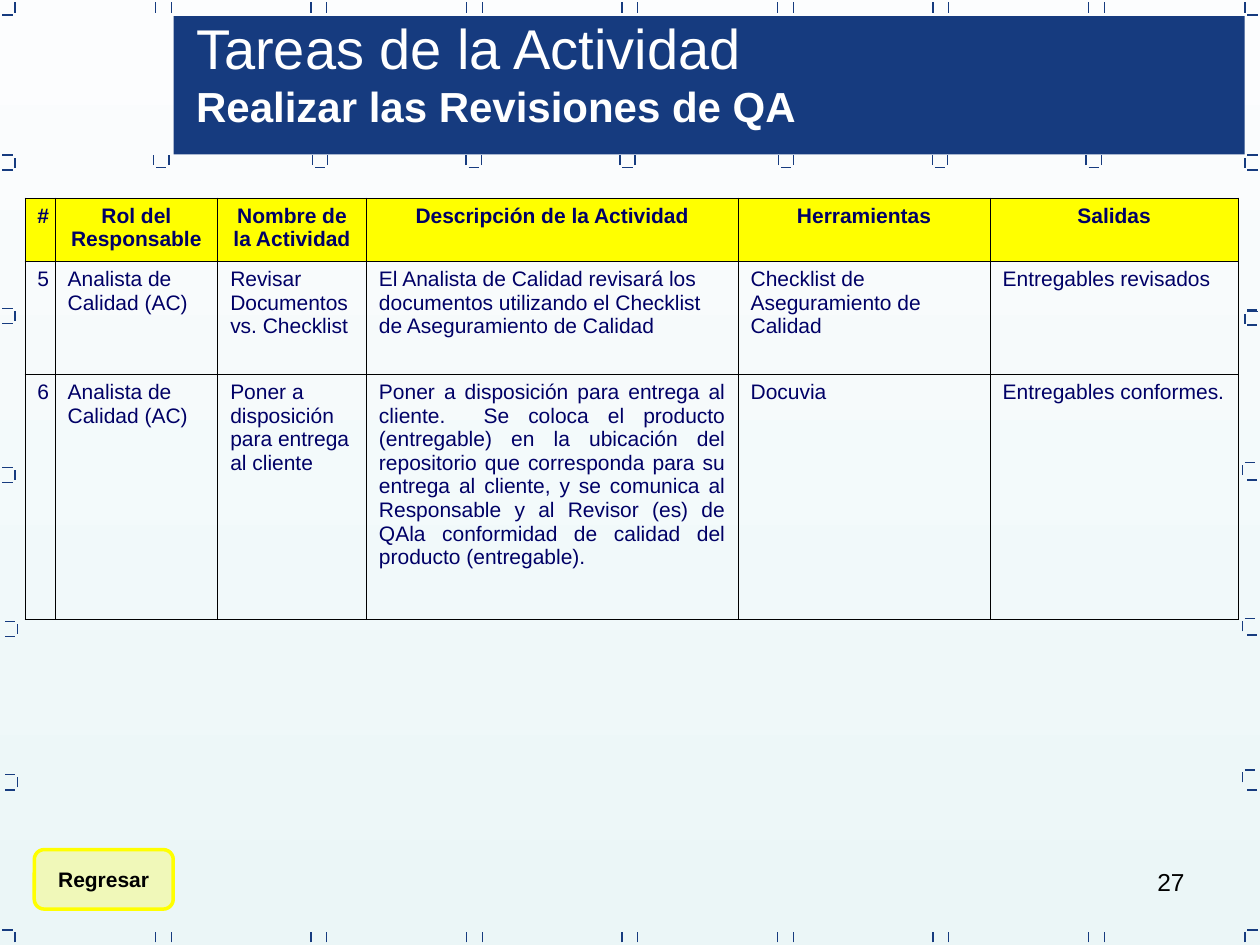
from lxml.etree import SubElement
from pptx import Presentation
from pptx.dml.color import RGBColor
from pptx.enum.shapes import MSO_CONNECTOR as Connector, MSO_SHAPE as Shape
from pptx.enum.text import MSO_ANCHOR as Anchor, PP_ALIGN as Align
from pptx.oxml import parse_xml
from pptx.oxml.ns import nsdecls, qn
from pptx.util import Pt

NAVY = RGBColor(0x16, 0x3B, 0x7F)
INK = RGBColor(0x00, 0x00, 0x66)
YELLOW = RGBColor(0xFF, 0xFF, 0x00)
BLACK = RGBColor(0x00, 0x00, 0x00)
WHITE = RGBColor(0xFF, 0xFF, 0xFF)
SKY_TOP = RGBColor(0xFC, 0xFD, 0xFE)
SKY_BOTTOM = RGBColor(0xEB, 0xF6, 0xF7)
FONT = "Arial"

TITLE = [("Tareas de la Actividad", 32, False),
         ("Realizar las Revisiones de QA", 24, True)]
TASKS = [
    ["#", "Rol del Responsable", "Nombre de la Actividad",
     "Descripción de la Actividad", "Herramientas", "Salidas"],
    ["5", "Analista de Calidad (AC)", "Revisar Documentos vs. Checklist",
     "El Analista de Calidad revisará los documentos utilizando el Checklist "
     "de Aseguramiento de Calidad",
     "Checklist de Aseguramiento de Calidad", "Entregables revisados"],
    ["6", "Analista de Calidad (AC)", "Poner a disposición para entrega al cliente",
     "Poner a disposición para entrega al cliente.  Se coloca el producto "
     "(entregable) en la ubicación del repositorio que corresponda para su "
     "entrega al cliente, y se comunica al Responsable y al Revisor (es) de "
     "QAla conformidad de calidad del producto (entregable).",
     "Docuvia", "Entregables conformes."],
]
COLUMN_WIDTHS = [17.3, 92.9, 85, 212.4, 144, 141.8]
ROW_HEIGHTS = [36, 64.8, 139.7]
JUSTIFIED = (2, 3)

# Border marks: a tick of fixed length with a dash set off from its ends.
TICK, GAP = 5.76, 1.44
EDGE_TOP, EDGE_BOTTOM = 1.44, 532.8
PAIR_START, PAIR_STEP, PAIR_WIDTH, PAIR_COUNT = 97.9, 88.85, 9, 7
BRACKET_TOP, BRACKET_WIDTH = 88.6, 8.64
BRACKET_RIGHTS = [96.5, 187.2, 275, 362.9, 453.6, 541.4, 629.3]
# x, top, direction of the dashes, dash above, dash below
SIDE_MARKS = [
    (8.64, EDGE_TOP, -1, False, True), (8.64, 90, -1, True, True),
    (8.64, 177.8, -1, True, True), (8.64, 268.6, -1, True, True),
    (10.1, 356.4, -1, True, True), (10.1, 444.2, -1, True, True),
    (8.64, EDGE_BOTTOM, -1, True, False),
    (711.4, EDGE_TOP, 1, False, True), (711.4, 90, 1, True, True),
    (711.4, 179.3, 1, True, False), (709.9, 265.7, 1, True, False),
    (709.9, 355, 1, True, False), (709.9, 441.4, 1, True, False),
    (711.4, EDGE_BOTTOM, 1, True, False),
]
LONE_DASH_LEFT = 712.8
LONE_DASHES = [177.1, 185.8, 274.3, 362.9, 451.4]


def add_mark(page, x1, y1, x2, y2):
    mark = page.shapes.add_connector(Connector.STRAIGHT, Pt(x1), Pt(y1), Pt(x2), Pt(y2))
    mark.line.color.rgb = NAVY
    mark.line.width = Pt(0.75)
    SubElement(mark._element.spPr, qn("a:effectLst"))


def add_tick(page, x, top):
    add_mark(page, x, top + TICK, x, top)


def add_border_marks(page):
    for i in range(PAIR_COUNT):
        right = PAIR_START + i * PAIR_STEP
        for top in (EDGE_TOP, EDGE_BOTTOM):
            add_tick(page, right, top)
            add_tick(page, right - PAIR_WIDTH, top)
    for right in BRACKET_RIGHTS:
        left, foot = right - BRACKET_WIDTH, BRACKET_TOP + TICK + GAP
        add_tick(page, right, BRACKET_TOP)
        add_tick(page, left, BRACKET_TOP)
        add_mark(page, left + GAP, foot, right - GAP, foot)
    for x, top, side, above, below in SIDE_MARKS:
        add_tick(page, x, top)
        near, far = sorted((x + side * GAP, x + side * (GAP + TICK)))
        if above:
            add_mark(page, near, top - GAP, far, top - GAP)
        if below:
            add_mark(page, near, top + TICK + GAP, far, top + TICK + GAP)
    for y in LONE_DASHES:
        add_mark(page, LONE_DASH_LEFT, y, LONE_DASH_LEFT + TICK, y)


def write(para, text, size, color, bold=False, align=Align.LEFT):
    para.alignment = align
    span = para.add_run()
    span.text = text
    span.font.name = FONT
    span.font.size = Pt(size)
    span.font.bold = bold
    span.font.color.rgb = color


def add_text_box(page, left, top, width, height):
    box = page.shapes.add_textbox(Pt(left), Pt(top), Pt(width), Pt(height))
    box.text_frame.word_wrap = True
    return box.text_frame


def set_borders(cell):
    for side in ("lnL", "lnR", "lnT", "lnB"):
        cell._tc.get_or_add_tcPr().append(parse_xml(
            f'<a:{side} {nsdecls("a")} w="5715"><a:solidFill>'
            f'<a:srgbClr val="{BLACK}"/></a:solidFill></a:{side}>'))


def add_task_table(page):
    table = page.shapes.add_table(
        len(ROW_HEIGHTS), len(COLUMN_WIDTHS), Pt(14.2), Pt(113.2),
        Pt(sum(COLUMN_WIDTHS)), Pt(sum(ROW_HEIGHTS))).table
    table.first_row = table.horz_banding = False
    for column, width in zip(table.columns, COLUMN_WIDTHS):
        column.width = Pt(width)
    for row, height in zip(table.rows, ROW_HEIGHTS):
        row.height = Pt(height)
    for r, texts in enumerate(TASKS):
        for c, text in enumerate(texts):
            cell, header = table.cell(r, c), r == 0
            set_borders(cell)
            if header:
                cell.fill.solid()
                cell.fill.fore_color.rgb = YELLOW
            else:
                cell.fill.background()
            align = Align.CENTER if header or c == 0 else Align.LEFT
            if (r, c) == JUSTIFIED:
                align = Align.JUSTIFY
            write(cell.text_frame.paragraphs[0], text, 12, INK, header, align)


def add_shape(page, kind, left, top, width, height, color):
    shape = page.shapes.add_shape(kind, Pt(left), Pt(top), Pt(width), Pt(height))
    shape.shadow.inherit = False
    shape.fill.solid()
    shape.fill.fore_color.rgb = color
    return shape


def add_return_button(page):
    button = add_shape(page, Shape.FLOWCHART_ALTERNATE_PROCESS,
                       19.6, 485.5, 79.4, 34, YELLOW)
    fill_color = button._element.spPr.find(qn("a:solidFill"))[0]
    SubElement(fill_color, qn("a:alpha"), val="25000")
    button.line.color.rgb = YELLOW
    button.line.width = Pt(2)
    frame = button.text_frame
    frame.word_wrap = False
    frame.vertical_anchor = Anchor.MIDDLE
    write(frame.paragraphs[0], "Regresar", 12, BLACK, True, Align.CENTER)


def main():
    deck = Presentation()
    deck.slide_width, deck.slide_height = Pt(720), Pt(540)
    page = deck.slides.add_slide(deck.slide_layouts[6])

    sky = page.background.fill
    sky.gradient()
    sky.gradient_angle = 270
    for stop, color in zip(sky.gradient_stops, (SKY_TOP, SKY_BOTTOM)):
        stop.color.rgb = color

    number = add_text_box(page, 516, 491.8, 168, 37.4)
    write(number.paragraphs[0], "27", 14, BLACK, align=Align.RIGHT)
    add_border_marks(page)
    banner = add_shape(page, Shape.RECTANGLE, 99.2, 9.2, 612, 79, NAVY)
    banner.line.fill.background()
    add_task_table(page)

    title = add_text_box(page, 105, 4.3, 471, 75)
    for i, (text, size, bold) in enumerate(TITLE):
        para = title.add_paragraph() if i else title.paragraphs[0]
        write(para, text, size, WHITE, bold)
    add_return_button(page)
    deck.save("out.pptx")


if __name__ == "__main__":
    main()
